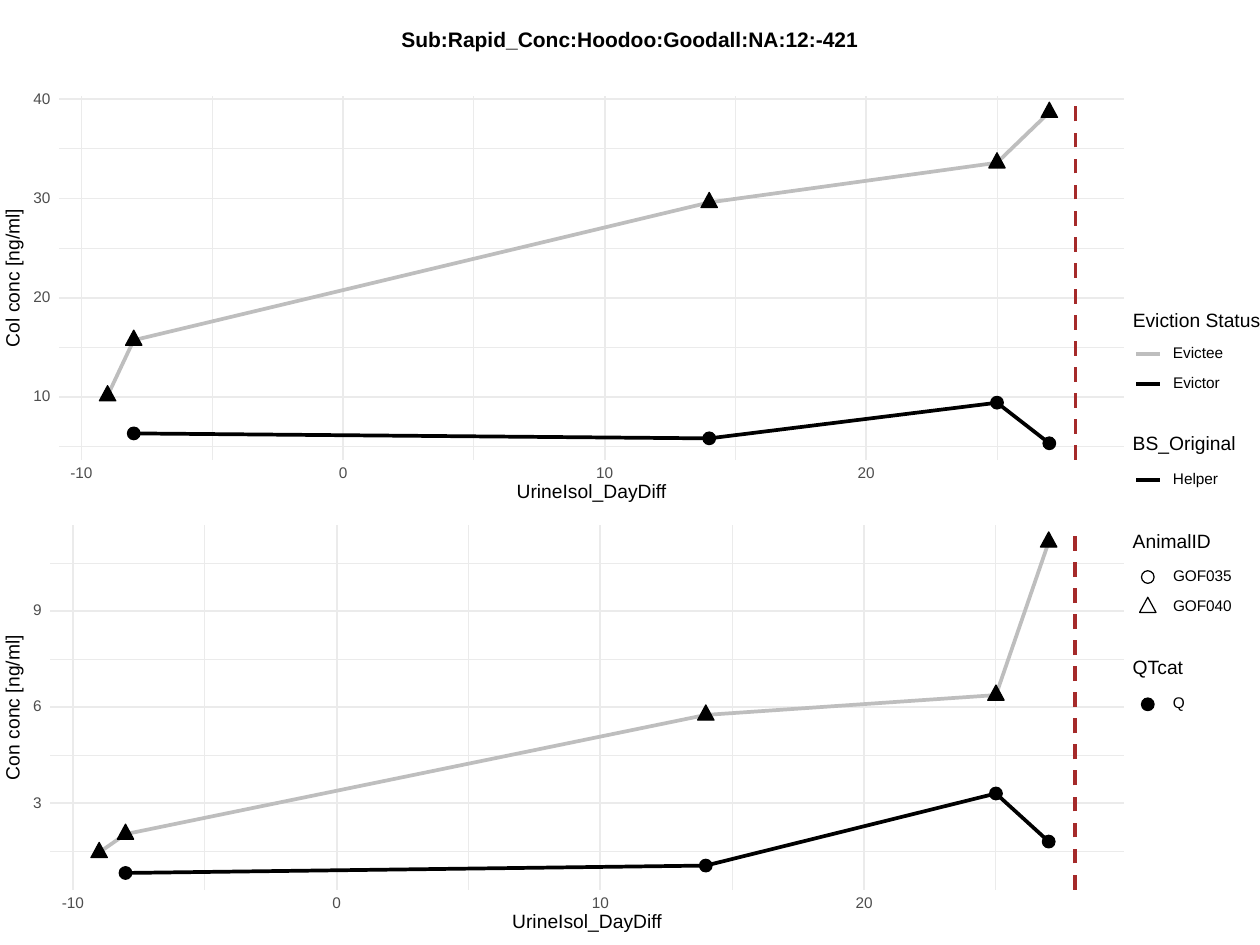
import math

from lxml import etree
from pptx import Presentation
from pptx.dml.color import RGBColor
from pptx.enum import dml, shapes, text
from pptx.oxml import ns
from pptx.util import Inches, Pt

COLORS = {
    "white": "FFFFFF",
    "black": "000000",
    "grid": "EBEBEB",
    "tick": "4D4D4D",
    "evictee": "BEBEBE",
    "evictor": "000000",
    "event": "A52A2A",
}
MARKERS = {
    "circle": (shapes.MSO_SHAPE.OVAL, 0.1, 0.1, 0.05),
    "triangle": (shapes.MSO_SHAPE.ISOSCELES_TRIANGLE, 0.13, 0.12, 0.08),
}
EVENT_DAY = 28
PANELS = [
    {
        "box": (0.47, 0.76, 8.45, 2.89),
        "title": "Col conc [ng/ml]",
        "step": 10,
        "evictor": [(-8, 6.3), (14, 5.8), (25, 9.4), (27, 5.3)],
        "evictee": [(-9, 10.1), (-8, 15.7), (14, 29.6), (25, 33.6), (27, 38.7)],
    },
    {
        "box": (0.4, 4.17, 8.52, 2.89),
        "title": "Con conc [ng/ml]",
        "step": 3,
        "evictor": [(-8, 0.83), (14, 1.06), (25, 3.31), (27, 1.81)],
        "evictee": [(-9, 1.47), (-8, 2.04), (14, 5.76), (25, 6.38), (27, 11.16)],
    },
]
LEGEND = [
    (0.06, "Eviction Status", 1.05, [(0.32, "Evictee", 0.44, "evictee"), (0.56, "Evictor", 0.41, "evictor")]),
    (1.04, "BS_Original", 0.86, [(1.32, "Helper", 0.4, "evictor")]),
    (1.82, "AnimalID", 0.66, [(2.09, "GOF035", 0.51, "circle"), (2.33, "GOF040", 0.51, "triangle")]),
    (2.82, "QTcat", 0.46, [(3.1, "Q", 0.14, "solid circle")]),
]


def color(name):
    """Return the named colour."""
    return RGBColor.from_string(COLORS[name])


def add_label(page, wording, center, width, size=8.8, ink="black", bold=False,
              align=text.PP_ALIGN.CENTER, rotation=0):
    """Add one line of text centred on a point."""
    height = size / 80
    box = page.shapes.add_textbox(Inches(center[0] - width / 2), Inches(center[1] - height / 2),
                                  Inches(width), Inches(height))
    box.rotation = rotation
    frame = box.text_frame
    frame.word_wrap = False
    frame.vertical_anchor = text.MSO_ANCHOR.MIDDLE
    frame.margin_left = frame.margin_top = frame.margin_right = frame.margin_bottom = 0
    para = frame.paragraphs[0]
    para.alignment = align
    para.line_spacing = Pt(size)
    span = para.add_run()
    span.text = wording
    span.font.name = "Arial"
    span.font.size = Pt(size)
    span.font.bold = bold
    span.font.color.rgb = color(ink)


def add_line(page, start, end, ink, width, dash=None):
    """Add a straight line without a shadow."""
    line = page.shapes.add_connector(shapes.MSO_CONNECTOR.STRAIGHT,
                                     *(Inches(value) for value in (*start, *end)))
    line.line.color.rgb = color(ink)
    line.line.width = Pt(width)
    if dash:
        line.line.dash_style = dash
    etree.SubElement(line._element.spPr, ns.qn("a:effectLst"))


def add_series(page, points, ink):
    """Add an open line through the points."""
    points = [(Inches(x), Inches(y)) for x, y in points]
    builder = page.shapes.build_freeform(*points[0])
    builder.add_line_segments(points[1:], close=False)
    series = builder.convert_to_shape()
    series.shadow.inherit = False
    series.fill.background()
    series.line.color.rgb = color(ink)
    series.line.width = Pt(2.13)


def add_marker(page, kind, point, solid=True):
    """Add a circle or triangle marker at a point."""
    preset, width, height, rise = MARKERS[kind]
    marker = page.shapes.add_shape(preset, Inches(point[0] - width / 2), Inches(point[1] - rise),
                                   Inches(width), Inches(height))
    marker.shadow.inherit = False
    if solid:
        marker.fill.solid()
        marker.fill.fore_color.rgb = color("black")
    else:
        marker.fill.background()
    marker.line.color.rgb = color("black")
    marker.line.width = Pt(0.71)


def padded_range(values):
    """Return the range of the values widened by 5 % at each end."""
    low, high = min(values), max(values)
    pad = (high - low) * 0.05
    return low - pad, high + pad


def ticks(low, high, step):
    """Return the multiples of the step inside the range."""
    return [index * step for index in range(math.ceil(low / step), math.floor(high / step) + 1)]


def add_panel(page, box, title, step, evictor, evictee):
    """Draw one line plot whose plotting area fills the box."""
    left, top, width, height = box
    right, bottom = left + width, top + height
    days, levels = zip(*evictor, *evictee)
    day_low, day_high = padded_range([*days, EVENT_DAY])
    level_low, level_high = padded_range(levels)

    def across(day):
        """Return the horizontal place of a day."""
        return left + (day - day_low) / (day_high - day_low) * width

    def down(level):
        """Return the vertical place of a level."""
        return bottom - (level - level_low) / (level_high - level_low) * height

    major_days = ticks(day_low, day_high, 10)
    major_levels = ticks(level_low, level_high, step)
    minor_days = [day for day in ticks(day_low, day_high, 5) if day not in major_days]
    minor_levels = [level for level in ticks(level_low, level_high, step / 2) if level not in major_levels]
    for level_ticks, day_ticks, weight in ((minor_levels, minor_days, 0.53), (major_levels, major_days, 1.07)):
        for level in level_ticks:
            add_line(page, (left, down(level)), (right, down(level)), "grid", weight)
        for day in day_ticks:
            add_line(page, (across(day), bottom), (across(day), top), "grid", weight)

    for name, points, kind in (("evictor", evictor, "circle"), ("evictee", evictee, "triangle")):
        places = [(across(day), down(level)) for day, level in points]
        add_series(page, places, name)
        for place in places:
            add_marker(page, kind, place)
    add_line(page, (across(EVENT_DAY), bottom), (across(EVENT_DAY), top), "event", 2.13,
             dash=dml.MSO_LINE.DASH)

    for level in major_levels:
        label_width = 0.09 * len(str(level))
        add_label(page, str(level), (left - 0.07 - label_width / 2, down(level)), label_width,
                  ink="tick", align=text.PP_ALIGN.RIGHT)
    for day in major_days:
        add_label(page, str(day), (across(day), bottom + 0.11), 0.22, ink="tick")
    add_label(page, "UrineIsol_DayDiff", (left + width / 2, bottom + 0.26), 1.25, size=11)
    add_label(page, title, (0.11, top + height / 2), 1.2, size=11, rotation=270)


def add_legend(page, left, top):
    """Draw the legend sections down from the given corner."""
    for offset, heading, heading_width, entries in LEGEND:
        add_label(page, heading, (left + heading_width / 2, top + offset), heading_width, size=11,
                  align=text.PP_ALIGN.LEFT)
        for drop, wording, width, key in entries:
            y = top + drop
            if key in COLORS:
                add_line(page, (left + 0.03, y), (left + 0.22, y), key, 2.13)
            else:
                add_marker(page, key.split()[-1], (left + 0.12, y), solid="solid" in key)
            add_label(page, wording, (left + 0.32 + width / 2, y), width, align=text.PP_ALIGN.LEFT)


def main():
    """Build the slide and save it."""
    deck = Presentation()
    deck.slide_width, deck.slide_height = Inches(10), Inches(7.5)
    page = deck.slides.add_slide(deck.slide_layouts[6])
    backdrop = page.shapes.add_shape(shapes.MSO_SHAPE.RECTANGLE, 0, 0, deck.slide_width, deck.slide_height)
    backdrop.shadow.inherit = False
    backdrop.fill.solid()
    backdrop.fill.fore_color.rgb = color("white")
    backdrop.line.color.rgb = color("white")
    backdrop.line.width = Pt(0.75)
    add_label(page, "Sub:Rapid_Conc:Hoodoo:Goodall:NA:12:-421", (5, 0.33), 3.7, size=12, bold=True)
    for panel in PANELS:
        add_panel(page, **panel)
    add_legend(page, 8.99, 2.49)
    deck.save("out.pptx")


if __name__ == "__main__":
    main()
